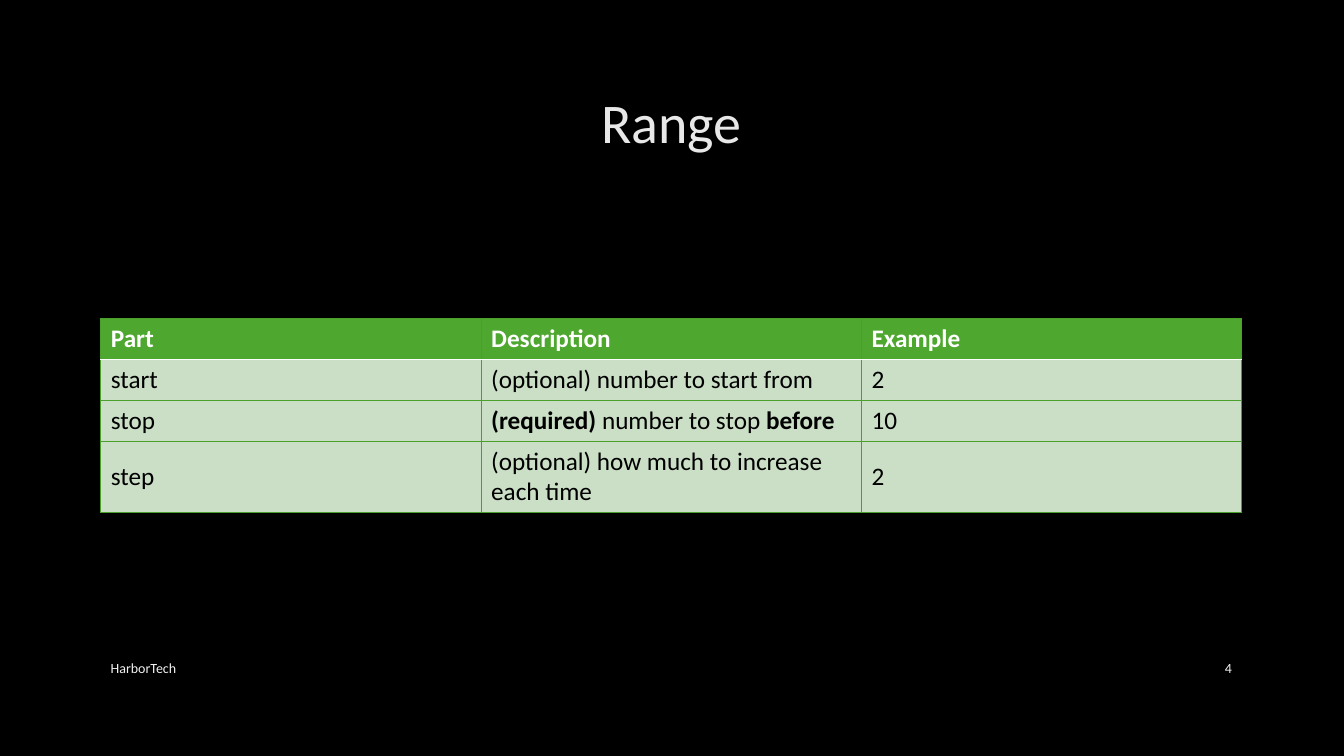
from lxml import etree
from pptx import Presentation
from pptx.dml.color import RGBColor
from pptx.enum.text import MSO_ANCHOR, PP_ALIGN
from pptx.oxml.ns import qn
from pptx.util import Pt

LEFT, CENTER, RIGHT = PP_ALIGN.LEFT, PP_ALIGN.CENTER, PP_ALIGN.RIGHT
MIDDLE = MSO_ANCHOR.MIDDLE

BLACK = RGBColor(0x00, 0x00, 0x00)
WHITE = RGBColor(0xFF, 0xFF, 0xFF)
TITLE_GRAY = RGBColor(0xE8, 0xE8, 0xE8)
FOOTER_GRAY = RGBColor(0xF2, 0xF2, 0xF2)
HEADER_GREEN = RGBColor(0x4E, 0xA7, 0x2E)
BODY_GREEN = RGBColor(0xCA, 0xDF, 0xC6)
BORDER_GREEN = RGBColor(0x4B, 0xA0, 0x2C)
FONT = "Calibri"

# text, left, top, width, height, size, colour, alignment
LABELS = [
    ("Range", 72, 48.24, 815.04, 76.32, 40, TITLE_GRAY, CENTER),
    ("HarborTech", 72, 462.96, 525.6, 28.8, 10, FOOTER_GRAY, LEFT),
    ("4", 828, 462.96, 59.04, 28.8, 10, FOOTER_GRAY, RIGHT),
]

# Each cell is a list of (text, bold) runs.
ROWS = [
    [[("Part", True)], [("Description", True)], [("Example", True)]],
    [[("start", False)], [("(optional) number to start from", False)], [("2", False)]],
    [[("stop", False)],
     [("(required)", True), (" number to stop ", False), ("before", True)],
     [("10", False)]],
    [[("step", False)], [("(optional) how much to increase each time", False)],
     [("2", False)]],
]
TABLE_LEFT, TABLE_TOP, TABLE_WIDTH = 72, 227.5, 815.04
ROW_HEIGHTS = [29.2, 29.2, 29.2, 51.1]


def add_run(paragraph, text, size, color, bold=False):
    run = paragraph.add_run()
    run.text = text
    run.font.name = FONT
    run.font.size = Pt(size)
    run.font.bold = bold
    run.font.color.rgb = color


def add_label(slide, text, left, top, width, height, size, color, alignment):
    box = slide.shapes.add_textbox(Pt(left), Pt(top), Pt(width), Pt(height))
    frame = box.text_frame
    frame.word_wrap = True
    frame.vertical_anchor = MIDDLE
    paragraph = frame.paragraphs[0]
    paragraph.alignment = alignment
    add_run(paragraph, text, size, color)


def set_borders(cell, borders):
    """Draw cell edges; borders lists (tag, colour, width) in schema order."""
    properties = cell._tc.get_or_add_tcPr()
    for position, (tag, color, width) in enumerate(borders):
        line = etree.Element(qn(tag), w=str(Pt(width)))
        fill = etree.SubElement(line, qn("a:solidFill"))
        etree.SubElement(fill, qn("a:srgbClr"), val=str(color))
        properties.insert(position, line)


def add_parts_table(slide):
    column_count = len(ROWS[0])
    frame = slide.shapes.add_table(
        len(ROWS), column_count, Pt(TABLE_LEFT), Pt(TABLE_TOP),
        Pt(TABLE_WIDTH), Pt(sum(ROW_HEIGHTS)))
    table = frame.table
    for column in table.columns:
        column.width = Pt(TABLE_WIDTH / column_count)

    green, white = (BORDER_GREEN, 0.75), (WHITE, 1.25)
    for row_index, row in enumerate(ROWS):
        table.rows[row_index].height = Pt(ROW_HEIGHTS[row_index])
        is_header = row_index == 0
        top = white if row_index == 1 else green
        bottom = white if is_header else green
        for column_index, runs in enumerate(row):
            cell = table.cell(row_index, column_index)
            cell.vertical_anchor = MIDDLE
            cell.fill.solid()
            cell.fill.fore_color.rgb = HEADER_GREEN if is_header else BODY_GREEN
            set_borders(cell, [("a:lnL", *green), ("a:lnR", *green),
                               ("a:lnT", *top), ("a:lnB", *bottom)])
            for text, bold in runs:
                add_run(cell.text_frame.paragraphs[0], text, 18,
                        WHITE if is_header else BLACK, bold)


def main():
    presentation = Presentation()
    presentation.slide_width = Pt(960)
    presentation.slide_height = Pt(540)
    slide = presentation.slides.add_slide(presentation.slide_layouts[6])
    slide.background.fill.solid()
    slide.background.fill.fore_color.rgb = BLACK
    for label in LABELS:
        add_label(slide, *label)
    add_parts_table(slide)
    presentation.save("out.pptx")


if __name__ == "__main__":
    main()
